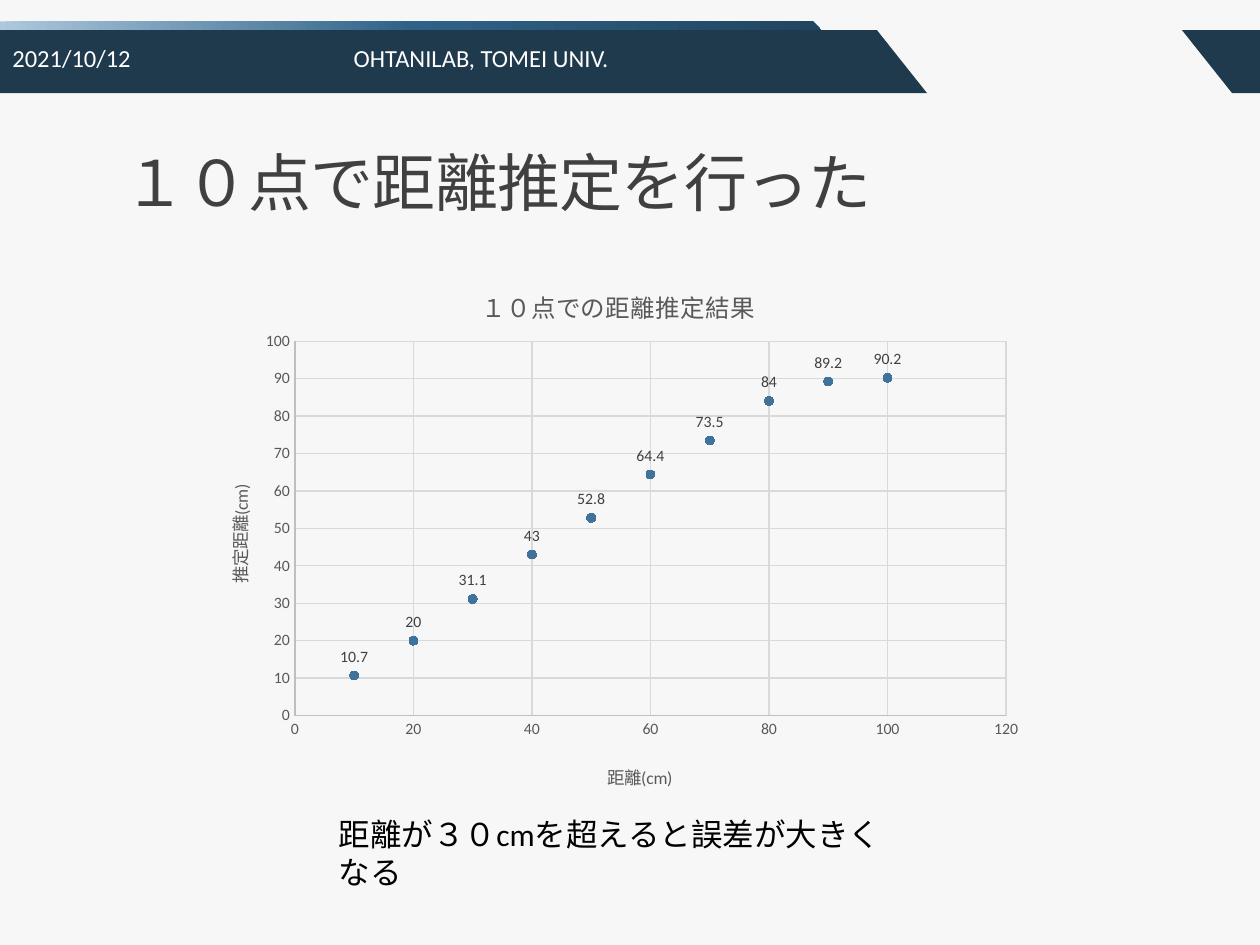
import copy

import pptx
import pptx.chart.data
import pptx.dml.color
import pptx.enum.chart
import pptx.enum.text
import pptx.oxml
import pptx.oxml.ns
import pptx.util

Cm, Pt = pptx.util.Cm, pptx.util.Pt
ALIGN = pptx.enum.text.PP_ALIGN
ANCHOR = pptx.enum.text.MSO_ANCHOR
KIND = pptx.enum.chart
FONT = "Calibri"
COLORS = {
    "back": "F7F7F7", "navy": "1F394D", "white": "FFFFFF", "black": "000000",
    "title": "404040", "label": "595959", "axis": "BFBFBF", "grid": "D9D9D9",
    "dot": "3F739B", "pale": "ADC8DD", "mid": "2F6288", "deep": "214560",
}

# Outlines in cm
BANDS = [
    ([(0, 0.61), (17.68, 0.61), (18.69, 1.88), (0, 1.88)], ["navy"]),
    ([(0, 0.43), (16.38, 0.43), (16.56, 0.61), (0, 0.61)],
     ["pale", "mid", "deep"]),
    ([(25.4, 1.88), (24.84, 1.88), (23.83, 0.61), (25.4, 0.61)], ["navy"]),
]
# Text, box in cm, format
TEXTS = [
    ("１０点で距離推定を行った", (2.24, 2.24, 20.96, 2.31),
     dict(size=36, color="title", anchor=ANCHOR.BOTTOM, space=0.85, track=-40)),
    ("2021/10/12", (0, 0.66, 4.11, 1.02),
     dict(size=14, color="white", anchor=ANCHOR.MIDDLE)),
    ("OHTANILAB, TOMEI UNIV.", (4.11, 0.66, 11.18, 1.02),
     dict(size=14, color="white", anchor=ANCHOR.MIDDLE, align=ALIGN.CENTER)),
    ("距離が３０cmを超えると誤差が大きくなる", (6.58, 16.31, 11.53, 1.02),
     dict(size=18)),
]
CHART_BOX = (3.81, 5.11, 17.07, 11.2)
SERIES = "Series 1"
DIST = range(10, 101, 10)
GUESS = [10.7, 20, 31.1, 43, 52.8, 64.4, 73.5, 84, 89.2, 90.2]


def rgb(name):
    return pptx.dml.color.RGBColor.from_string(COLORS[name])


def style(font, size, color):
    font.name, font.size, font.bold = FONT, Pt(size), False
    font.color.rgb = rgb(color)


def add_text(slide, text, box, size=18, color="black", anchor=ANCHOR.TOP,
             align=ALIGN.LEFT, space=None, track=None):
    frame = slide.shapes.add_textbox(*map(Cm, box)).text_frame
    frame.word_wrap, frame.vertical_anchor = True, anchor
    para = frame.paragraphs[0]
    para.alignment, para.line_spacing = align, space
    run = para.add_run()
    run.text = text
    style(run.font, size, color)
    if track:
        run.font._element.set("spc", str(track))


def add_band(slide, points, names):
    first, *rest = [(Cm(x), Cm(y)) for x, y in points]
    pen = slide.shapes.build_freeform(*first, scale=1.0)
    pen.add_line_segments(rest, close=True)
    shape = pen.convert_to_shape()
    shape.shadow.inherit = False
    shape.line.fill.background()
    if len(names) == 1:
        shape.fill.solid()
        shape.fill.fore_color.rgb = rgb(names[0])
        return
    shape.fill.gradient()
    shape.fill.gradient_angle = 0
    head = shape._element.spPr.find(".//" + pptx.oxml.ns.qn("a:gs"))
    head.addnext(copy.deepcopy(head))
    for i, (stop, name) in enumerate(zip(shape.fill.gradient_stops, names)):
        stop.color.rgb = rgb(name)
        stop.position = i / (len(names) - 1)


def make_layout(x, y, size=None):
    """Manual layout in fractions of the chart; a size marks the plot area."""
    parts = [("xMode", "edge"), ("yMode", "edge"), ("x", x), ("y", y)]
    if size:
        parts.insert(0, ("layoutTarget", "inner"))
        parts += zip("wh", size)
    body = "".join(f'<c:{tag} val="{val}"/>' for tag, val in parts)
    return pptx.oxml.parse_xml(
        f'<c:layout {pptx.oxml.ns.nsdecls("c")}>'
        f'<c:manualLayout>{body}</c:manualLayout></c:layout>')


def put_layout(node, layout, after=None):
    for old in node.findall(pptx.oxml.ns.qn("c:layout")):
        node.remove(old)
    if after is None:
        node.insert(0, layout)
    else:
        after.addnext(layout)


def set_title(title, text, size, x, y, turn=0):
    frame = title.text_frame
    frame.text = text
    style(frame.paragraphs[0].runs[0].font, size, "label")
    frame._txBody.bodyPr.set("rot", str(turn * 60000))
    node = title._element
    put_layout(node, make_layout(x, y), node.find(pptx.oxml.ns.qn("c:tx")))


def set_axis(axis, top, step):
    axis.minimum_scale, axis.maximum_scale, axis.major_unit = 0, top, step
    axis.major_tick_mark = axis.minor_tick_mark = KIND.XL_TICK_MARK.NONE
    axis.has_major_gridlines = True
    for line, name in ((axis.format.line, "axis"),
                       (axis.major_gridlines.format.line, "grid")):
        line.width, line.color.rgb = Pt(0.75), rgb(name)
    style(axis.tick_labels.font, 9, "label")
    axis.tick_labels.number_format = "General"
    axis.tick_labels.number_format_is_linked = False


def add_plot(slide):
    data = pptx.chart.data.XyChartData()
    row = data.add_series(SERIES)
    for x, y in zip(DIST, GUESS):
        row.add_data_point(x, y)
    chart = slide.shapes.add_chart(
        KIND.XL_CHART_TYPE.XY_SCATTER, *map(Cm, CHART_BOX), data).chart
    style(chart.font, 10, "black")
    chart.has_legend = False
    plot = chart.plots[0]
    plot.vary_by_categories = False
    put_layout(chart._chartSpace.chart.plotArea,
               make_layout(0.125, 0.158, (0.84, 0.674)))
    set_axis(chart.category_axis, 120, 20)
    set_axis(chart.value_axis, 100, 10)
    set_title(chart.chart_title, "１０点での距離推定結果", 14, 0.34, 0.05)
    set_title(chart.category_axis.axis_title, "距離(cm)", 10, 0.49, 0.91)
    set_title(chart.value_axis.axis_title, "推定距離(cm)", 10, 0.04, 0.41, -90)
    line = plot.series[0]
    line.format.line.fill.background()
    mark = line.marker
    mark.style, mark.size = KIND.XL_MARKER_STYLE.CIRCLE, 5
    mark.format.fill.solid()
    mark.format.fill.fore_color.rgb = rgb("dot")
    mark.format.line.color.rgb = rgb("dot")
    for i in range(len(GUESS)):
        label = line.points[i].data_label
        style(label.font, 9, "title")
        label.position = KIND.XL_LABEL_POSITION.ABOVE


def main():
    deck = pptx.Presentation()
    deck.slide_width, deck.slide_height = Cm(25.4), Cm(19.05)
    slide = deck.slides.add_slide(deck.slide_layouts[6])
    slide.background.fill.solid()
    slide.background.fill.fore_color.rgb = rgb("back")
    for points, names in BANDS:
        add_band(slide, points, names)
    for text, box, look in TEXTS:
        add_text(slide, text, box, **look)
    add_plot(slide)
    deck.save("out.pptx")


if __name__ == "__main__":
    main()
